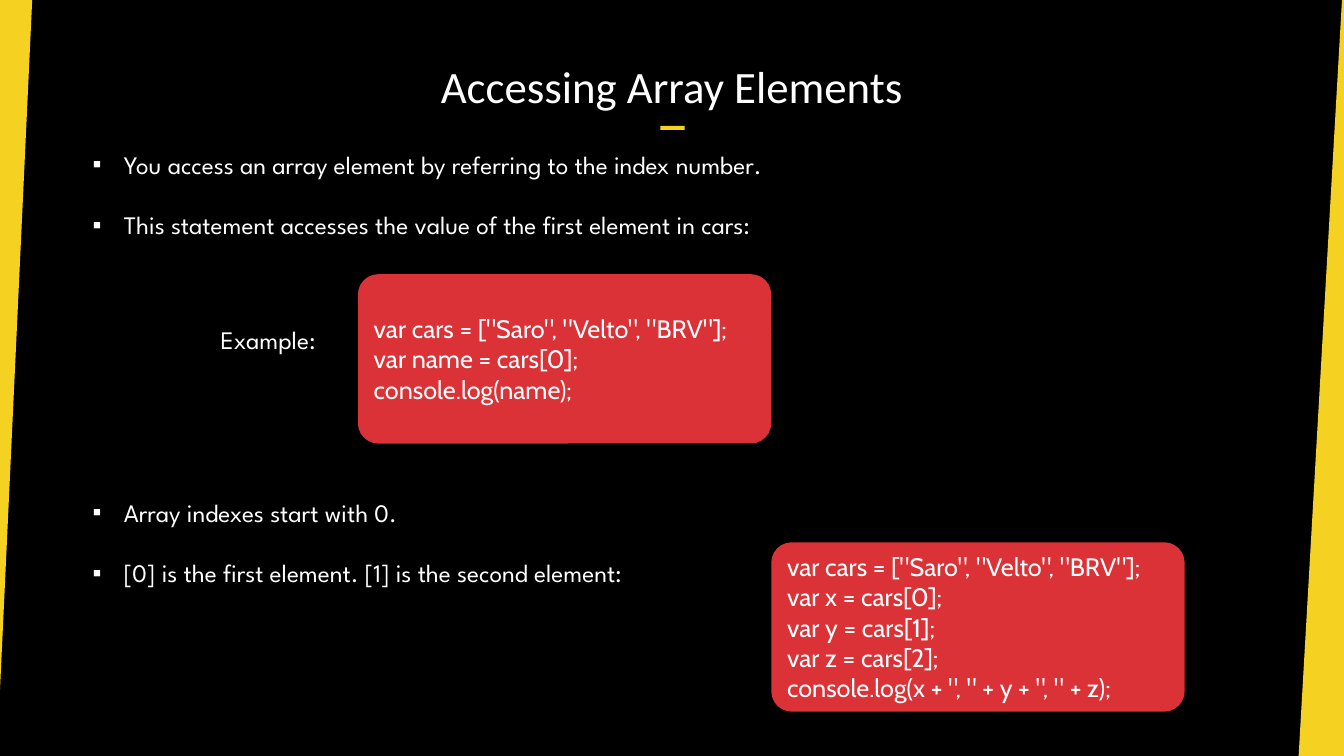
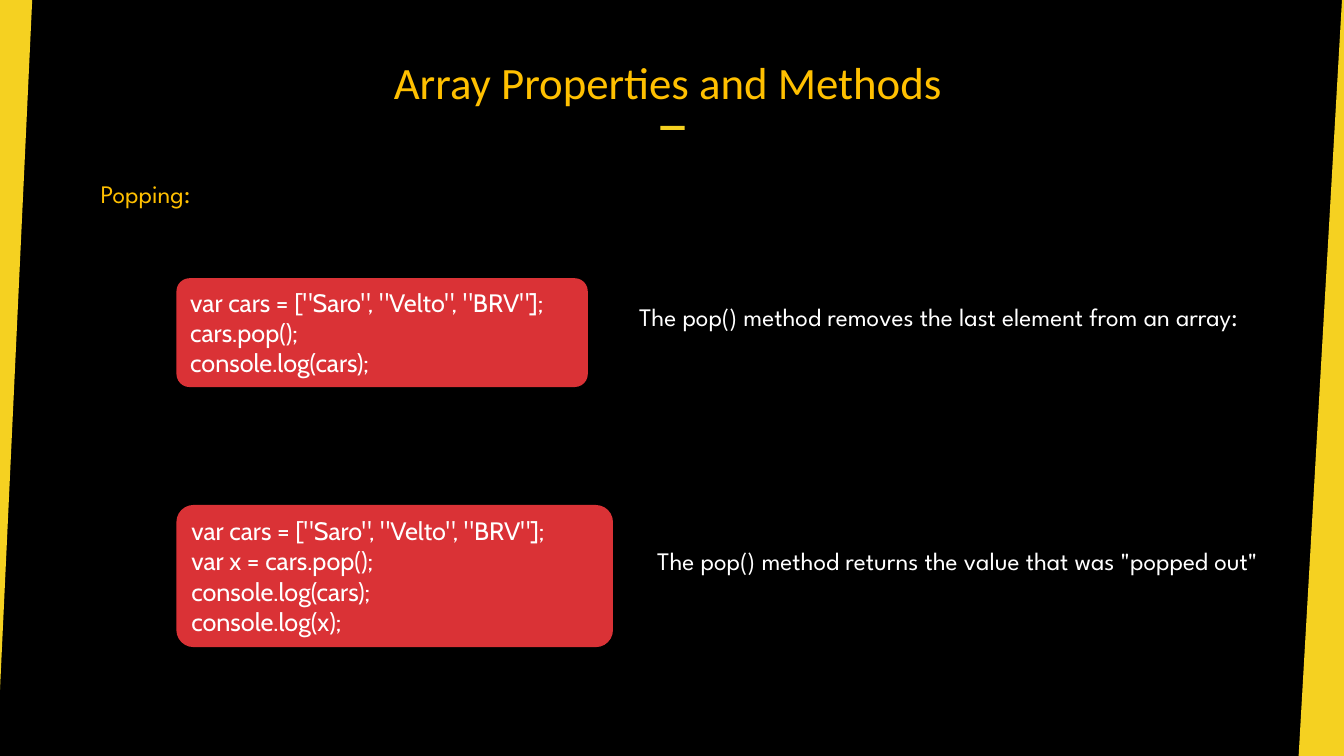
import dataclasses

import pptx
import pptx.dml.color
import pptx.enum.shapes
import pptx.enum.text
import pptx.oxml
import pptx.oxml.ns
import pptx.util

Inches = pptx.util.Inches
PP_ALIGN = pptx.enum.text.PP_ALIGN
MSO_ANCHOR = pptx.enum.text.MSO_ANCHOR
MSO_SHAPE = pptx.enum.shapes.MSO_SHAPE


@dataclasses.dataclass(frozen=True)
class Theme:
    """Colours, fonts and type sizes shared by the slides."""
    background: str = "000000"
    band: str = "F5D121"
    code_box: str = "DA3236"
    text: str = "FFFFFF"
    accent: str = "FFC000"
    title_font: str = "Calibri"
    body_font: str = "League Spartan"
    code_font: str = "Cabin"
    title_size: float = 32
    body_size: float = 18
    bullet_gap: float = 21.5
    bullet_indent: float = 0.31


THEME = Theme()
CARS = 'var cars = ["Saro", "Velto", "BRV"];'
LEFT_BAND = [(-0.05, 0), (0.32, 0), (-0.03, 7.5), (-0.05, 7.5)]
RIGHT_BAND = [(13.31, 0), (13.33, 0), (13.33, 7.5), (12.88, 7.5)]


def rgb(value):
    """Turn a hex string into a colour."""
    return pptx.dml.color.RGBColor.from_string(value)


def paint(sp, color):
    """Give a shape a flat fill without line or shadow."""
    sp.shadow.inherit = False
    sp.fill.solid()
    sp.fill.fore_color.rgb = rgb(color)
    sp.line.fill.background()


def add_bullet(p):
    """Put a square bullet with a hanging indent on a paragraph."""
    pPr = p._p.get_or_add_pPr()
    indent = Inches(THEME.bullet_indent)
    pPr.set("marL", str(indent))
    pPr.set("indent", str(-indent))
    ns = pptx.oxml.ns.nsdecls("a")
    pPr.append(pptx.oxml.parse_xml(f'<a:buFont {ns} typeface="Arial"/>'))
    pPr.append(pptx.oxml.parse_xml(f'<a:buChar {ns} char="▪"/>'))


def write(sp, lines, font=THEME.body_font, size=THEME.body_size, color=THEME.text,
          align=PP_ALIGN.LEFT, anchor=MSO_ANCHOR.TOP, bullets=False):
    """Fill a shape with one paragraph per line in a single format."""
    tf = sp.text_frame
    tf.word_wrap = True
    tf.vertical_anchor = anchor
    for i, line in enumerate(lines):
        p = tf.add_paragraph() if i else tf.paragraphs[0]
        p.alignment = align
        if bullets:
            p.space_before = pptx.util.Pt(THEME.bullet_gap if i else 0)
            add_bullet(p)
        r = p.add_run()
        r.text = line
        r.font.name = font
        r.font.size = pptx.util.Pt(size)
        r.font.color.rgb = rgb(color)
    return tf


def add_text(slide, box, *lines, **style):
    """Place a text box."""
    return write(slide.shapes.add_textbox(*map(Inches, box)), lines, **style)


def add_code(slide, box, *lines):
    """Place a rounded box of code."""
    sp = slide.shapes.add_shape(MSO_SHAPE.ROUNDED_RECTANGLE, *map(Inches, box))
    sp.adjustments[0] = 0.12
    paint(sp, THEME.code_box)
    write(sp, lines, font=THEME.code_font, anchor=MSO_ANCHOR.MIDDLE)


def add_band(slide, points):
    """Draw a slanted side band through the given corners."""
    corners = [(Inches(x), Inches(y)) for x, y in points]
    builder = slide.shapes.build_freeform(*corners[0])
    builder.add_line_segments(corners[1:], close=True)
    paint(builder.convert_to_shape(), THEME.band)


def add_title(slide, box, title, color):
    """Place the title and the short dash below it."""
    dash = slide.shapes.add_shape(
        MSO_SHAPE.RECTANGLE, *map(Inches, (6.55, 1.25, 0.24, 0.04)))
    paint(dash, THEME.band)
    tf = add_text(slide, box, title, font=THEME.title_font, size=THEME.title_size,
                  color=color, align=PP_ALIGN.CENTER, anchor=MSO_ANCHOR.BOTTOM)
    tf.margin_top, tf.margin_bottom = Inches(0.04), 0


def new_slide(prs, title_box, title, color=THEME.text):
    """Start a slide with its background, bands and title."""
    slide = prs.slides.add_slide(prs.slide_layouts[6])
    slide.background.fill.solid()
    slide.background.fill.fore_color.rgb = rgb(THEME.background)
    for points in (LEFT_BAND, RIGHT_BAND):
        add_band(slide, points)
    add_title(slide, title_box, title, color)
    return slide


def access_slide(prs):
    """Build the slide on reading array elements."""
    slide = new_slide(prs, (3.21, 0.37, 6.91, 0.75), "Accessing Array Elements")
    add_code(slide, (3.55, 2.72, 4.1, 1.68),
             CARS, "var name = cars[0];", "console.log(name);")
    add_text(slide, (0.82, 1.43, 11.55, 1.01),
             "You access an array element by referring to the index number.",
             "This statement accesses the value of the first element in cars:",
             bullets=True)
    add_text(slide, (2.09, 3.17, 1.4, 0.4), "Example:")
    add_text(slide, (0.82, 4.88, 11.55, 1.01),
             "Array indexes start with 0.",
             "[0] is the first element. [1] is the second element:",
             bullets=True)
    add_code(slide, (7.65, 5.38, 4.1, 1.68),
             CARS, "var x = cars[0];", "var y = cars[1];", "var z = cars[2];",
             'console.log(x + ", " + y + ", " + z);')


def popping_slide(prs):
    """Build the slide on the pop method."""
    slide = new_slide(prs, (3.17, 0.33, 6.91, 0.75),
                      "Array Properties and Methods", THEME.accent)
    add_text(slide, (0.9, 1.72, 4.19, 0.4), "Popping:", color=THEME.accent)
    add_code(slide, (1.75, 2.76, 4.08, 1.08),
             CARS, "cars.pop();", "console.log(cars);")
    add_text(slide, (6.24, 2.94, 6.39, 0.71),
             "The pop() method removes the last element from an array:")
    add_code(slide, (1.75, 5.01, 4.33, 1.41),
             CARS, "var x = cars.pop();", "console.log(cars);", "console.log(x);")
    add_text(slide, (6.42, 5.36, 6.17, 0.71),
             'The pop() method returns the value that was "popped out"')


def main():
    """Build and save the presentation."""
    prs = pptx.Presentation()
    prs.slide_width, prs.slide_height = Inches(13.33), Inches(7.5)
    access_slide(prs)
    popping_slide(prs)
    prs.save("out.pptx")


if __name__ == "__main__":
    main()
